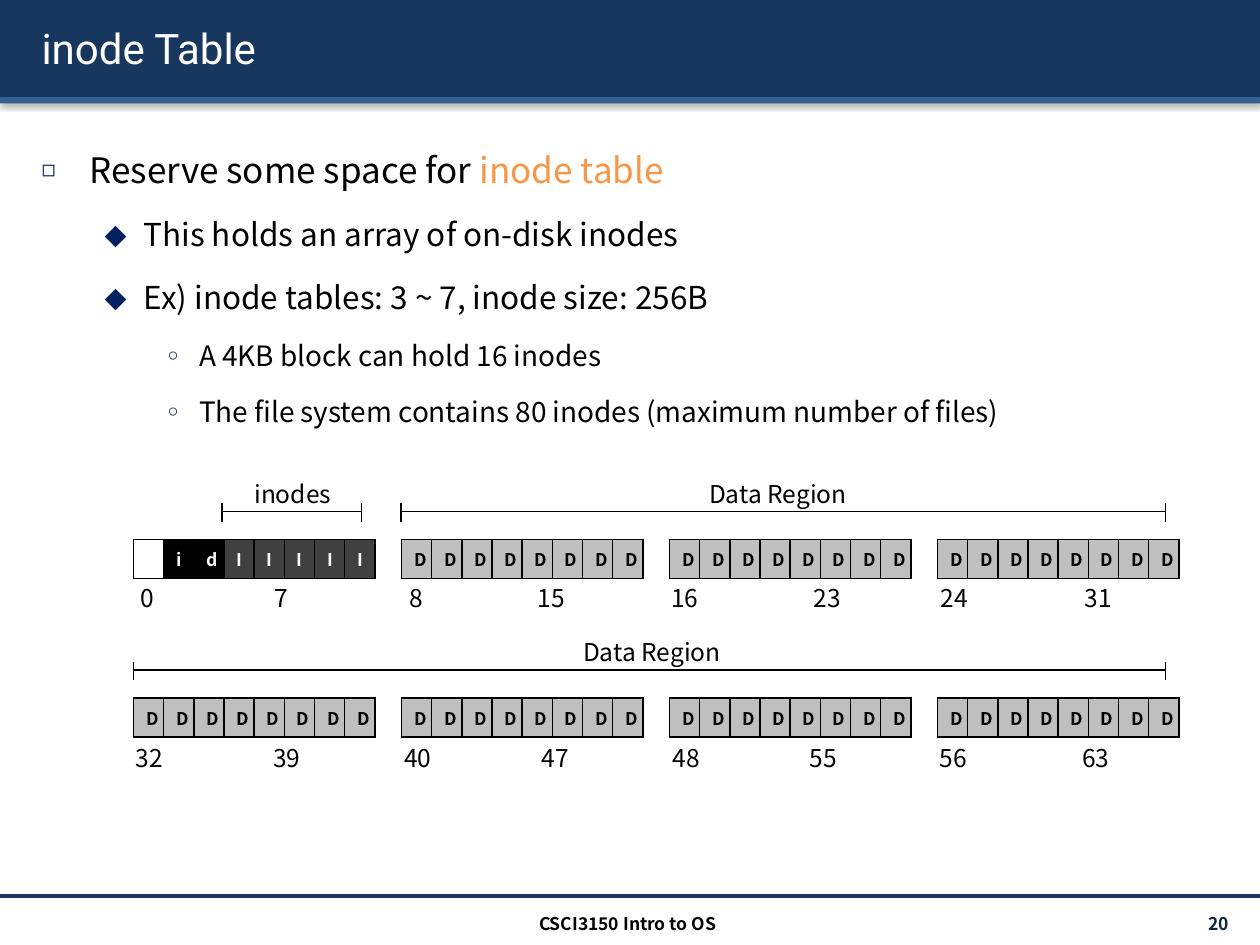
from lxml.etree import SubElement
from pptx import Presentation
from pptx.dml.color import RGBColor
from pptx.enum.shapes import MSO_CONNECTOR, MSO_SHAPE
from pptx.enum.text import MSO_ANCHOR, MSO_AUTO_SIZE, PP_ALIGN
from pptx.oxml.ns import qn
from pptx.util import Inches, Pt

NAVY = RGBColor(0x17, 0x37, 0x5E)
BLUE = RGBColor(0x37, 0x60, 0x92)
BULLET_BLUE = RGBColor(0x00, 0x20, 0x60)
NUMBER_BLUE = RGBColor(0x0F, 0x24, 0x3E)
ORANGE = RGBColor(0xF7, 0x96, 0x46)
BLACK = RGBColor(0, 0, 0)
WHITE = RGBColor(0xFF, 0xFF, 0xFF)
DARK_GRAY = RGBColor(0x40, 0x40, 0x40)
LIGHT_GRAY = RGBColor(0xBF, 0xBF, 0xBF)
TEXT_FONT = "Noto Sans CJK KR"
TITLE_FONT = "Roboto"

LEVELS = [
    {"size": 20, "margin": 0.38, "indent": -0.38, "bullet": "◻", "scale": 65},
    {"size": 18, "margin": 0.81, "indent": -0.31, "bullet": "⬥", "scale": 100},
    {"size": 16, "margin": 1.25, "indent": -0.25, "bullet": "○", "scale": 65},
]
POINTS = [
    (0, [("Reserve some space for ", BLACK), ("inode table", ORANGE)]),
    (1, [("This holds an array of on-disk inodes", BLACK)]),
    (1, [("Ex) inode tables: 3 ~ 7, inode size: 256B", BLACK)]),
    (2, [("A 4KB block can hold 16 inodes", BLACK)]),
    (2, [("The file system contains 80 inodes (maximum number of files)", BLACK)]),
]
CELL_STYLES = {
    " ": (WHITE, BLACK),
    "i": (BLACK, WHITE),
    "d": (BLACK, WHITE),
    "I": (DARK_GRAY, WHITE),
    "D": (LIGHT_GRAY, BLACK),
}
BLOCKS_PER_GROUP = 8
GROUPS_PER_ROW = 4
GROUP_LEFT, GROUP_PITCH = 1.06, 2.127
COLUMN_WIDTH, GROUP_HEIGHT = 0.23, 0.31
DISK_ROWS = [
    (4.28, 4.58, [(1.02, 1.06), (3.15, 1.02), (5.23, 1.13), (7.37, 1.14)]),
    (5.54, 5.85, [(0.98, 1.09), (3.11, 1.09), (5.24, 1.09), (7.36, 1.13)]),
]
BRACKETS = [
    ("inodes", 1.76, 2.87, 4.06, 1.92),
    ("Data Region", 3.18, 9.25, 4.06, 5.53),
    ("Data Region", 1.06, 9.25, 5.32, 4.53),
]


def add_span(paragraph, text, size, color, bold=False):
    """Add one formatted run to a paragraph."""
    span = paragraph.add_run()
    span.text = text
    span.font.size = Pt(size)
    span.font.bold = bold
    span.font.color.rgb = color
    span.font.name = TEXT_FONT
    return span


def add_shadow(properties, blur, distance, angle, opacity):
    """Append a black outer shadow to shape or run properties."""
    effects = properties.find(qn("a:effectLst"))
    if effects is None:
        effects = SubElement(properties, qn("a:effectLst"))
    shadow = SubElement(effects, qn("a:outerShdw"), blurRad=str(Pt(blur)),
                        dist=str(Pt(distance)), dir=str(angle * 60000), rotWithShape="0")
    color = SubElement(shadow, qn("a:srgbClr"), val=str(BLACK))
    SubElement(color, qn("a:alpha"), val=str(opacity * 1000))


def add_line(page, x1, y1, x2, y2, color=BLACK, width=1):
    """Draw a straight line without shadow."""
    line = page.shapes.add_connector(
        MSO_CONNECTOR.STRAIGHT, Inches(x1), Inches(y1), Inches(x2), Inches(y2))
    line.line.color.rgb = color
    line.line.width = Pt(width)
    SubElement(line._element.spPr, qn("a:effectLst"))


def add_label(page, box, text, size=14, color=BLACK, bold=False, align=PP_ALIGN.LEFT, tab=None):
    """Add a one-line text box, with an optional tab stop."""
    label = page.shapes.add_textbox(*map(Inches, box))
    label.text_frame.word_wrap = True
    paragraph = label.text_frame.paragraphs[0]
    paragraph.alignment = align
    if tab:
        stops = SubElement(paragraph._p.get_or_add_pPr(), qn("a:tabLst"))
        SubElement(stops, qn("a:tab"), pos=str(Inches(tab)), algn="l")
    add_span(paragraph, text, size, color, bold)
    return label


def add_header(page, box):
    """Place the two header bands and the slide title."""
    left, top, width, height = box
    bands = [(top, height - 0.05, NAVY), (top + height - 0.05, 0.05, BLUE)]
    for position, (band_top, band_height, color) in enumerate(bands):
        band = page.shapes.add_shape(
            MSO_SHAPE.RECTANGLE, *map(Inches, (left, band_top, width, band_height)))
        band.shadow.inherit = False
        band.fill.solid()
        band.fill.fore_color.rgb = color
        band.line.fill.background()
        add_shadow(band._element.spPr, 3.1, 1.6, 90, 38)
        page.shapes._spTree.insert(2 + position, band._element)
    title = page.shapes.title
    title.left, title.top = Inches(left + 0.23), Inches(top + 0.06)
    title.width, title.height = Inches(9.61), Inches(0.64)
    frame = title.text_frame
    frame.auto_size = MSO_AUTO_SIZE.NONE
    frame.vertical_anchor = MSO_ANCHOR.MIDDLE
    frame.paragraphs[0].alignment = PP_ALIGN.LEFT
    span = add_span(frame.paragraphs[0], "inode Table", 24, WHITE)
    properties = span._r.get_or_add_rPr()
    span.font.name = None
    add_shadow(properties, 3, 2, 45, 100)
    span.font.name = TITLE_FONT


def add_points(page, box):
    """Fill the body placeholder with the bulleted list."""
    body = page.placeholders[1]
    body.left, body.top, body.width, body.height = map(Inches, box)
    frame = body.text_frame
    frame.auto_size = MSO_AUTO_SIZE.NONE
    for number, (depth, spans) in enumerate(POINTS):
        paragraph = frame.add_paragraph() if number else frame.paragraphs[0]
        level = LEVELS[depth]
        paragraph.level = depth
        paragraph.line_spacing = 1.5
        if number == 0:
            paragraph.space_before = Pt(0)
        properties = paragraph._p.get_or_add_pPr()
        properties.set("marL", str(Inches(level["margin"])))
        properties.set("indent", str(Inches(level["indent"])))
        color = SubElement(properties, qn("a:buClr"))
        SubElement(color, qn("a:srgbClr"), val=str(BULLET_BLUE))
        SubElement(properties, qn("a:buSzPct"), val=str(level["scale"] * 1000))
        SubElement(properties, qn("a:buChar"), char=level["bullet"])
        for text, text_color in spans:
            add_span(paragraph, text, level["size"], text_color)


def format_block(cell, letter):
    """Border, fill and letter one disk block."""
    fill, color = CELL_STYLES[letter]
    for side in ("lnL", "lnR", "lnT", "lnB"):
        border = SubElement(cell._tc.get_or_add_tcPr(), qn(f"a:{side}"), w=str(Pt(1)))
        SubElement(SubElement(border, qn("a:solidFill")), qn("a:srgbClr"), val=str(BLACK))
    cell.fill.solid()
    cell.fill.fore_color.rgb = fill
    cell.vertical_anchor = MSO_ANCHOR.MIDDLE
    paragraph = cell.text_frame.paragraphs[0]
    paragraph.alignment = PP_ALIGN.CENTER
    if letter.strip():
        add_span(paragraph, letter, 10, color, True)
    else:
        SubElement(paragraph._p, qn("a:endParaRPr"), sz="1000")


def add_group(page, box, letters):
    """Add one group of disk blocks as a one-row table."""
    table = page.shapes.add_table(1, len(letters), *map(Inches, box)).table
    table.first_row = table.horz_banding = False
    table.rows[0].height = Inches(box[3])
    for column, cell, letter in zip(table.columns, table.rows[0].cells, letters):
        column.width = Inches(COLUMN_WIDTH)
        format_block(cell, letter)


def add_disk(page):
    """Place the block groups, their numbers and the region brackets."""
    for row, (top, label_top, labels) in enumerate(DISK_ROWS):
        for column, (label_left, tab) in enumerate(labels):
            group = row * GROUPS_PER_ROW + column
            first = group * BLOCKS_PER_GROUP
            box = (GROUP_LEFT + column * GROUP_PITCH, top,
                   COLUMN_WIDTH * BLOCKS_PER_GROUP, GROUP_HEIGHT)
            add_group(page, box, "D" * BLOCKS_PER_GROUP if group else " idIIIII")
            add_label(page, (label_left, label_top, 2.07, 0.34),
                      f"{first}\t{first + BLOCKS_PER_GROUP - 1}", tab=tab)
    for text, left, right, middle, label_left in BRACKETS:
        add_line(page, left, middle, right, middle)
        for end in (left, right):
            add_line(page, end, middle - 0.07, end, middle + 0.08)
        add_label(page, (label_left, middle - 0.31, 1.36, 0.34), text)


def add_footer(page, top):
    """Place the footer rule, course name and slide number."""
    add_line(page, 0, top, 10, top, NAVY, 2)
    add_label(page, (3.32, top + 0.09, 3.32, 0.24), "CSCI3150 Intro to OS",
              10, BLACK, True, PP_ALIGN.CENTER)
    number = add_label(page, (8.71, top + 0.1, 1.14, 0.24), "20",
                       10, NUMBER_BLUE, True, PP_ALIGN.RIGHT)
    number.text_frame.vertical_anchor = MSO_ANCHOR.MIDDLE


def main():
    """Build and save the deck."""
    deck = Presentation()
    deck.slide_width, deck.slide_height = Inches(10), Inches(7.5)
    page = deck.slides.add_slide(deck.slide_layouts[1])
    add_header(page, (0, 0, 10, 0.82))
    add_points(page, (0.23, 0.96, 9.61, 6.02))
    add_footer(page, 7.11)
    add_disk(page)
    deck.save("out.pptx")


if __name__ == "__main__":
    main()
